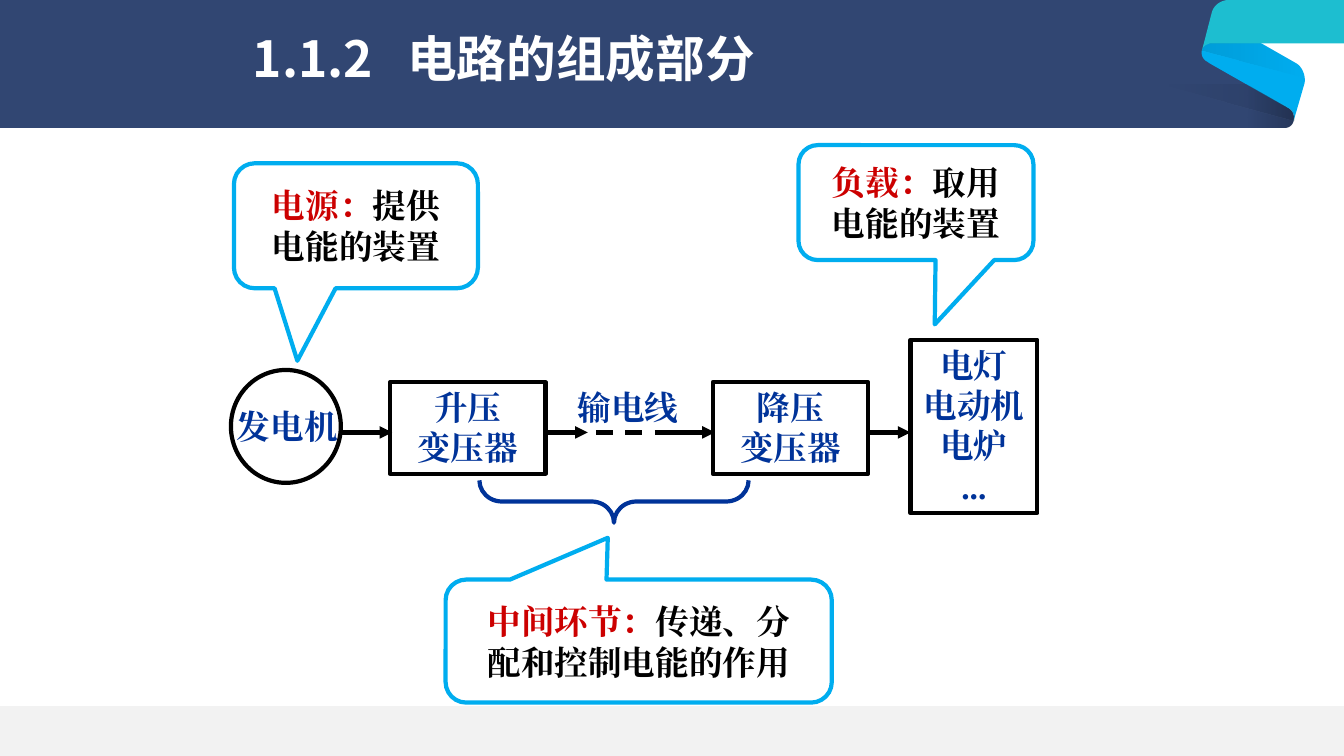
from lxml.etree import SubElement
from pptx import Presentation
from pptx.dml.color import RGBColor
from pptx.enum.dml import MSO_LINE_DASH_STYLE as Dash
from pptx.enum.shapes import MSO_CONNECTOR as Connector, MSO_SHAPE as Shape
from pptx.enum.text import MSO_ANCHOR as Anchor, PP_ALIGN as Align
from pptx.oxml.ns import qn
from pptx.util import Inches, Pt

NAVY = RGBColor(0x31, 0x46, 0x72)
SKY = RGBColor(0x00, 0xAD, 0xEF)
TEAL = RGBColor(0x1D, 0xBE, 0xD0)
PALE = RGBColor(0xF2, 0xF2, 0xF2)
BLUE = RGBColor(0x00, 0x33, 0x99)
RED = RGBColor(0xCC, 0x00, 0x00)
BLACK = RGBColor(0x00, 0x00, 0x00)
WHITE = RGBColor(0xFF, 0xFF, 0xFF)

LABEL = {"size": Pt(24), "bold": True, "name": "Times New Roman"}
TITLE = {"size": Pt(35.5), "bold": True, "name": "Noto Sans CJK SC"}
WIRE_Y = 4.29
CURVE_STEPS = 8

BANNER = [(0, 0), (12.43, 0), (12.43, 0.72), (12.79, 1.08),
          (12.83, 1.11, 12.84, 1.15, 12.83, 1.2),
          (12.82, 1.24, 12.79, 1.27, 12.74, 1.27), (0, 1.27)]
RIBBON_FOLD = [(11.97, 0.61), (12, 0.63), (12.79, 1.08),
               (12.83, 1.11, 12.84, 1.15, 12.83, 1.2), (12.94, 0.82),
               (12.95, 0.74, 12.91, 0.66, 12.86, 0.63), (12.44, 0.39),
               (12.02, 0.41), (11.97, 0.41, 11.93, 0.46, 11.92, 0.5),
               (11.91, 0.54, 11.93, 0.59, 11.97, 0.61)]
RIBBON_TOP = [(11.92, 0.5), (11.93, 0.46, 11.97, 0.43, 12.02, 0.43),
              (13.33, 0.43), (13.33, 0), (12.19, 0),
              (12.11, 0, 12.04, 0.05, 12.02, 0.12), (11.94, 0.43)]
TAIL_SHADE = [(12.37, 0.84), (12.37, 1.27), (12.74, 1.27),
              (12.79, 1.27, 12.82, 1.24, 12.83, 1.2),
              (12.84, 1.15, 12.83, 1.11, 12.79, 1.08)]
CAST_SHADE = [(11.52, 0.84), (12.83, 1.2),
              (12.84, 1.15, 12.83, 1.11, 12.79, 1.08), (12.37, 0.84)]
FOLD_SHADE = [(11.92, 0.5), (12.94, 0.77),
              (12.94, 0.72, 12.91, 0.66, 12.86, 0.63), (12.5, 0.43),
              (12.02, 0.43), (11.97, 0.43, 11.93, 0.46, 11.92, 0.5)]


def flatten(outline):
    """Turn an outline of corners and cubic curves into points."""
    points = [outline[0]]
    for segment in outline[1:]:
        if len(segment) == 2:
            points.append(segment)
            continue
        start, (x1, y1, x2, y2, x3, y3) = points[-1], segment
        for step in range(1, CURVE_STEPS + 1):
            t = step / CURVE_STEPS
            weights = ((1 - t) ** 3, 3 * t * (1 - t) ** 2, 3 * t * t * (1 - t), t ** 3)
            points.append(tuple(
                sum(w * v for w, v in zip(weights, values))
                for values in ((start[0], x1, x2, x3), (start[1], y1, y2, y3))))
    return [(Inches(x), Inches(y)) for x, y in points]


def add_outline(slide, outline):
    """Draw a closed outline without a border."""
    start, *rest = flatten(outline)
    builder = slide.shapes.build_freeform(*start)
    builder.add_line_segments(rest, close=True)
    piece = builder.convert_to_shape()
    piece.shadow.inherit = False
    piece.line.fill.background()
    return piece


def add_solid(slide, outline, color):
    """Draw an outline in one colour."""
    piece = add_outline(slide, outline)
    piece.fill.solid()
    piece.fill.fore_color.rgb = color


def add_shade(slide, outline, opacity, angle):
    """Draw an outline as black that fades to clear."""
    shade = add_outline(slide, outline)
    shade.fill.gradient()
    shade.fill.gradient_angle = angle
    for stop, position, percent in zip(shade.fill.gradient_stops, (0, 1), (opacity, 0)):
        stop.position = position
        stop.color.rgb = BLACK
        color = list(shade._element.spPr.iter(qn("a:srgbClr")))[-1 if position else 0]
        SubElement(color, qn("a:alpha")).set("val", str(percent * 1000))


def write(frame, lines, style, align=Align.CENTER, gap=0, tab=None):
    """Fill a text frame with lines of (words, colour) runs."""
    for index, line in enumerate(lines):
        paragraph = frame.paragraphs[0] if index == 0 else frame.add_paragraph()
        paragraph.alignment = align
        if index:
            paragraph.space_before = Pt(gap)
        if tab:
            stops = SubElement(paragraph._p.get_or_add_pPr(), qn("a:tabLst"))
            SubElement(stops, qn("a:tab"), pos=str(Inches(tab)), algn="l")
        for words, color in line:
            run = paragraph.add_run()
            run.text = words
            for key, value in style.items():
                setattr(run.font, key, value)
            run.font.color.rgb = color
            SubElement(run.font._element, qn("a:ea")).set("typeface", style["name"])


def add_frame(slide, kind, box, color, adjustments=(), rotation=0):
    """Add an unfilled preset shape with a thick border."""
    frame = slide.shapes.add_shape(kind, *map(Inches, box))
    frame.shadow.inherit = False
    frame.fill.background()
    frame.line.color.rgb = color
    frame.line.width = Pt(3)
    frame.rotation = rotation
    for index, value in enumerate(adjustments):
        frame.adjustments[index] = value
    return frame


def add_callout(slide, box, pointer, term, lines):
    """Add a speech bubble that explains a red term."""
    bubble = add_frame(slide, Shape.ROUNDED_RECTANGULAR_CALLOUT, box, SKY, (*pointer, 0.167))
    bubble.text_frame.word_wrap = False
    bubble.text_frame.vertical_anchor = Anchor.MIDDLE
    first, second = lines
    write(bubble.text_frame, [[(term, RED), (first, BLACK)], [(second, BLACK)]], LABEL, gap=0.5)


def add_device(slide, box, lines):
    """Add a black box with blue lines of text."""
    device = add_frame(slide, Shape.RECTANGLE, box, BLACK)
    device.text_frame.word_wrap = True
    device.text_frame.vertical_anchor = Anchor.TOP
    write(device.text_frame, [[(line, BLUE)] for line in lines], LABEL)


def add_label(slide, box, words):
    """Add a free blue label on one line."""
    label = slide.shapes.add_textbox(*map(Inches, box))
    label.text_frame.word_wrap = False
    write(label.text_frame, [[(words, BLUE)]], LABEL)


def add_wire(slide, start, end, dashed=False):
    """Add a level wire, dashed or ending in an arrowhead."""
    wire = slide.shapes.add_connector(
        Connector.STRAIGHT, Inches(start), Inches(WIRE_Y), Inches(end), Inches(WIRE_Y))
    wire.line.color.rgb = BLACK
    wire.line.width = Pt(3)
    if dashed:
        wire.line.dash_style = Dash.DASH
    else:
        SubElement(wire.line._get_or_add_ln(), qn("a:tailEnd")).set("type", "triangle")
    SubElement(wire._element.spPr, qn("a:effectLst"))


def add_title(slide, words):
    """Add the white heading on the banner."""
    heading = slide.shapes.add_textbox(Inches(2.41), Inches(0.28), Inches(6.72), Inches(0.58))
    heading.text_frame.word_wrap = True
    heading.text_frame.vertical_anchor = Anchor.MIDDLE
    write(heading.text_frame, [[(words, WHITE)]], TITLE, Align.LEFT, tab=1.53)


def main():
    """Build the slide on the parts of a circuit."""
    deck = Presentation()
    deck.slide_width, deck.slide_height = Inches(13.33), Inches(7.5)
    slide = deck.slides.add_slide(deck.slide_layouts[6])

    for outline, color in ((BANNER, NAVY), (RIBBON_FOLD, SKY), (RIBBON_TOP, TEAL)):
        add_solid(slide, outline, color)
    for outline, opacity, angle in ((TAIL_SHADE, 20, 180), (CAST_SHADE, 10, 180),
                                    (FOLD_SHADE, 10, 0)):
        add_shade(slide, outline, opacity, angle)
    add_solid(slide, [(0, 7), (13.33, 7), (13.33, 7.5), (0, 7.5)], PALE)
    add_title(slide, "1.1.2\t电路的组成部分")

    add_callout(slide, (2.32, 1.62, 2.42, 1.24), (-0.24, 1.08), "电源：", ("提供", "电能的装置"))
    add_callout(slide, (7.92, 1.44, 2.33, 1.14), (0.08, 1.06), "负载：", ("取用", "电能的装置"))
    add_callout(slide, (4.42, 5.75, 3.83, 1.22), (-0.08, -0.84),
                "中间环节：", ("传递、分", "配和控制电能的作用"))

    add_frame(slide, Shape.OVAL, (2.29, 3.67, 1.09, 1.12), BLACK)
    add_label(slide, (2.25, 3.98, 1.2, 0.5), "发电机")
    add_device(slide, (3.87, 3.79, 1.54, 0.91), ("升压", "变压器"))
    add_device(slide, (7.07, 3.79, 1.54, 0.91), ("降压", "变压器"))
    add_device(slide, (9.03, 3.37, 1.26, 1.72), ("电灯", "电动机电炉", "..."))
    for start, end in ((3.39, 3.89), (5.41, 5.83), (6.67, 7.09), (8.61, 9.03)):
        add_wire(slide, start, end)
    add_wire(slide, 5.91, 6.67, dashed=True)
    add_label(slide, (5.63, 3.79, 1.2, 0.5), "输电线")
    add_frame(slide, Shape.LEFT_BRACE, (5.88, 3.64, 0.42, 2.67), BLUE, (0.53, 0.5), 270)
    deck.save("out.pptx")


if __name__ == "__main__":
    main()
